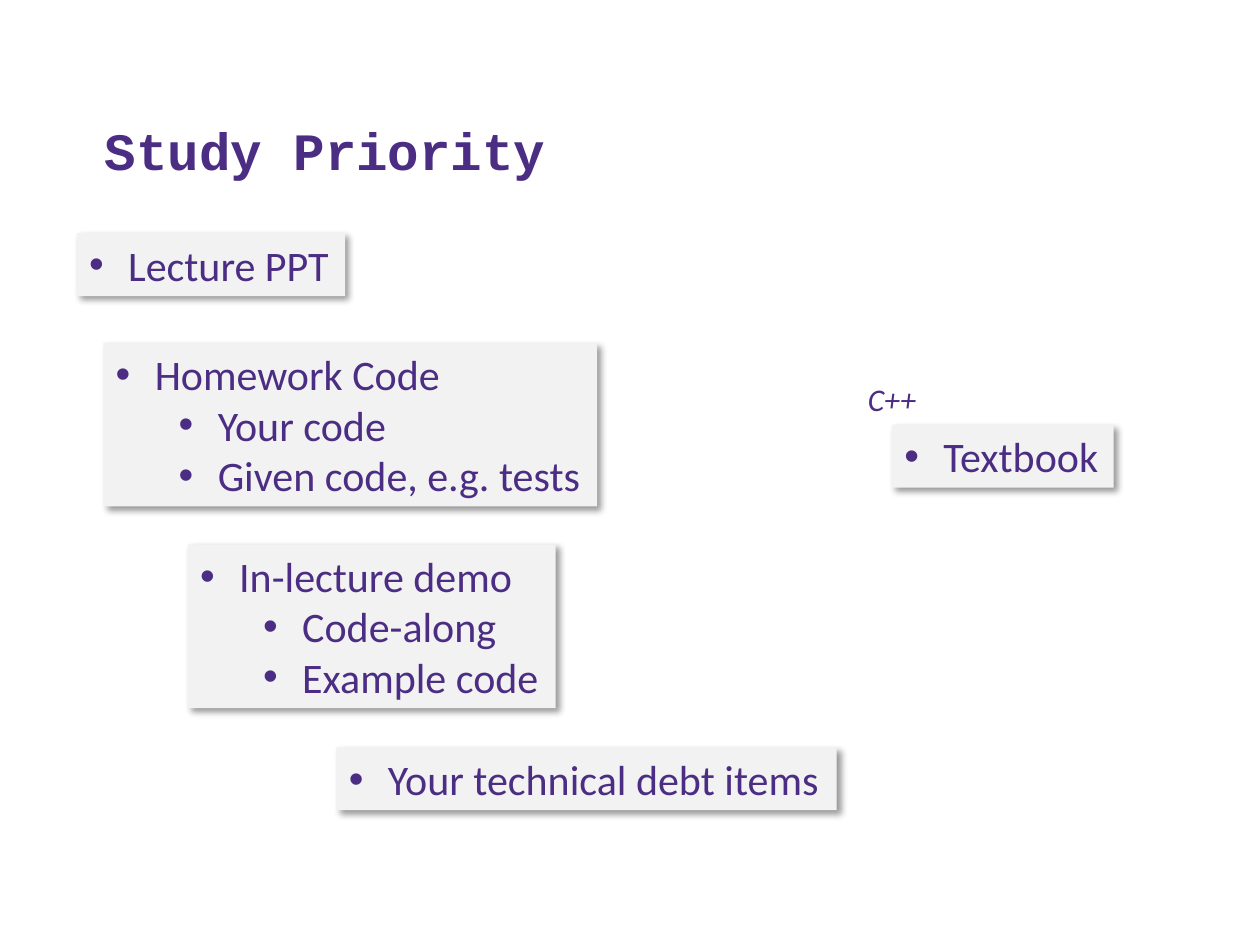
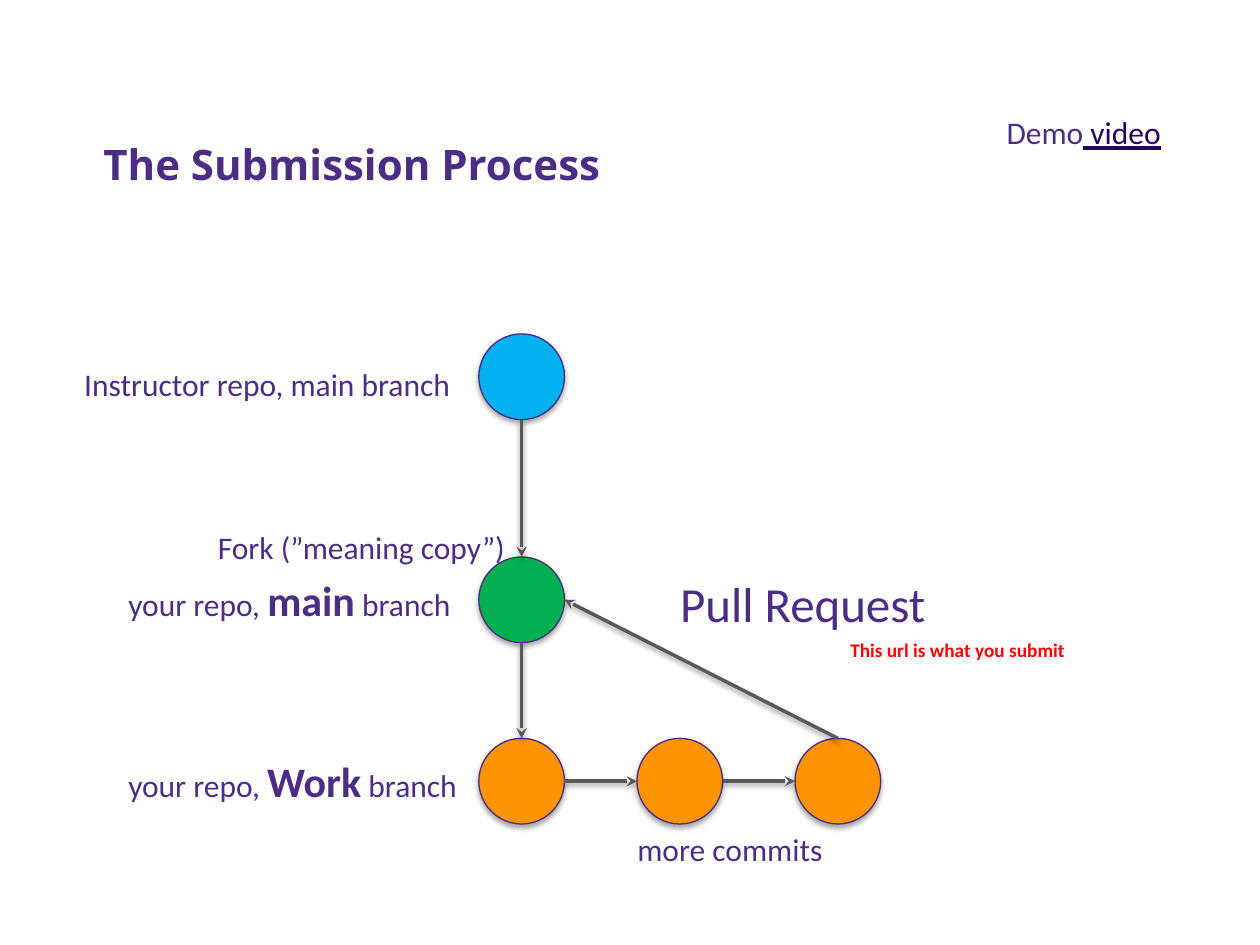
from dataclasses import dataclass
from typing import Any, NamedTuple

from lxml.etree import SubElement
from pptx import Presentation
from pptx.dml.color import RGBColor
from pptx.enum.shapes import MSO_CONNECTOR, MSO_SHAPE
from pptx.enum.text import MSO_ANCHOR, MSO_AUTO_SIZE, PP_ALIGN
from pptx.oxml.ns import qn
from pptx.slide import Slide
from pptx.util import Inches, Pt

PURPLE = RGBColor(0x4B, 0x2E, 0x83)
OUTLINE = RGBColor(0x49, 0x2B, 0x82)
LINK = RGBColor(0x26, 0x00, 0x5C)
RED = RGBColor(0xFF, 0x00, 0x00)
CARD = RGBColor(0xF2, 0xF2, 0xF2)
ARROW = RGBColor(0x59, 0x59, 0x59)
BLUE = RGBColor(0x00, 0xB0, 0xF0)
GREEN = RGBColor(0x00, 0xB0, 0x50)
ORANGE = RGBColor(0xFF, 0x93, 0x00)

BODY_FONT = "Calibri"
BASE_FORMAT = {"name": BODY_FONT, "size": Pt(18), "bold": False}
EMPHASIS = {"size": Pt(24), "bold": True}
CARD_FORMAT = {"size": Pt(24)}

CARD_LINE = 0.4
CARD_PADDING = 0.1
BULLET_INDENT = 0.31
LEVEL_STEP = 0.5

DIAMETER = 0.68
RADIUS = DIAMETER / 2
TRUNK_X = 4.14
INSTRUCTOR_Y = 2.99
MAIN_Y = 4.76
WORK_Y = 6.2
COMMIT_STEP = 2.51 / 2
COMMITS = 3


class Shadow(NamedTuple):
    opacity: int
    blur: float
    distance: float
    angle: int


CARD_SHADOW = Shadow(40, 4, 3, 45)
NODE_SHADOW = Shadow(35, 3.1, 1.8, 90)
ARROW_SHADOW = Shadow(38, 3.1, 1.6, 90)


class Span(NamedTuple):
    text: str
    format: dict[str, Any] = {}
    color: RGBColor = PURPLE


@dataclass(frozen=True)
class Card:
    left: float
    top: float
    width: float
    heading: str
    details: tuple[str, ...] = ()


@dataclass(frozen=True)
class Label:
    left: float
    top: float
    width: float
    height: float
    spans: tuple[Span, ...]


@dataclass(frozen=True)
class Node:
    x: float
    y: float
    fill: RGBColor


class Arrow(NamedTuple):
    start: tuple[float, float]
    end: tuple[float, float]


CARDS = (
    Card(0.82, 2.72, 3.92, "Homework Code", ("Your code", "Given code, e.g. tests")),
    Card(1.49, 4.32, 2.92, "In-lecture demo", ("Code-along", "Example code")),
    Card(2.67, 5.93, 3.97, "Your technical debt items"),
    Card(0.61, 1.85, 2.13, "Lecture PPT"),
    Card(7.08, 3.37, 1.76, "Textbook"),
)

LANGUAGE = Label(6.79, 2.97, 0.59, 0.4, (Span("C++", {"italic": True}),))

PROCESS_LABELS = (
    Label(0.57, 2.85, 3.14, 0.4, (Span("Instructor repo, main branch"),)),
    Label(1.63, 4.14, 2.51, 0.4, (Span("Fork (”meaning copy”)"),)),
    Label(0.92, 4.51, 2.79, 0.5,
          (Span("your repo, "), Span("main", EMPHASIS), Span(" branch"))),
    Label(0.92, 5.95, 2.84, 0.5,
          (Span("your repo, "), Span("Work", EMPHASIS), Span(" branch"))),
    Label(5.3, 4.5, 2.17, 0.57, (Span("Pull Request", {"size": Pt(28)}),)),
    Label(6.65, 5.02, 1.96, 0.29,
          (Span("This url is what you submit", {"size": Pt(11), "bold": True}, RED),)),
    Label(4.96, 6.54, 1.69, 0.4, (Span("more commits"),)),
    Label(7.89, 0.85, 1.44, 0.4,
          (Span("Demo"), Span(" video", {"underline": True}, LINK))),
)


def add_span(paragraph: Any, span: Span) -> None:
    run = paragraph.add_run()
    run.text = span.text
    for attribute, value in (BASE_FORMAT | span.format).items():
        setattr(run.font, attribute, value)
    run.font.color.rgb = span.color


def add_shadow(shape: Any, shadow: Shadow) -> None:
    effects = SubElement(shape.element.spPr, qn("a:effectLst"))
    outer = SubElement(effects, qn("a:outerShdw"), {
        "blurRad": str(Pt(shadow.blur)),
        "dist": str(Pt(shadow.distance)),
        "dir": str(shadow.angle * 60000),
        "rotWithShape": "0",
    })
    black = SubElement(outer, qn("a:srgbClr"), val="000000")
    SubElement(black, qn("a:alpha"), val=str(shadow.opacity * 1000))


def add_bullet(paragraph: Any, level: int) -> None:
    paragraph.level = level
    paragraph.alignment = PP_ALIGN.LEFT
    properties = paragraph._p.get_or_add_pPr()
    properties.set("marL", str(Inches(BULLET_INDENT + level * LEVEL_STEP)))
    properties.set("indent", str(-Inches(BULLET_INDENT)))
    SubElement(properties, qn("a:buFont"), typeface="Arial")
    SubElement(properties, qn("a:buChar"), char="•")


def fit_frame(frame: Any) -> None:
    frame.word_wrap = False
    frame.auto_size = MSO_AUTO_SIZE.SHAPE_TO_FIT_TEXT
    frame.vertical_anchor = MSO_ANCHOR.TOP


def add_title_slide(deck: Any, heading: Span, box: tuple[float, ...],
                    anchor: MSO_ANCHOR) -> Slide:
    slide = deck.slides.add_slide(deck.slide_layouts[5])
    title = slide.shapes.title
    title.left, title.top, title.width, title.height = map(Inches, box)
    title.text_frame.auto_size = MSO_AUTO_SIZE.NONE
    title.text_frame.vertical_anchor = anchor
    paragraph = title.text_frame.paragraphs[0]
    paragraph.alignment = PP_ALIGN.LEFT
    add_span(paragraph, heading)
    return slide


def draw_card(slide: Slide, card: Card) -> None:
    lines = (card.heading, *card.details)
    height = CARD_PADDING + CARD_LINE * len(lines)
    panel = slide.shapes.add_shape(
        MSO_SHAPE.RECTANGLE, *map(Inches, (card.left, card.top, card.width, height)))
    panel.fill.solid()
    panel.fill.fore_color.rgb = CARD
    panel.line.fill.background()
    add_shadow(panel, CARD_SHADOW)
    frame = panel.text_frame
    fit_frame(frame)
    for index, line in enumerate(lines):
        paragraph = frame.add_paragraph() if index else frame.paragraphs[0]
        add_bullet(paragraph, min(index, 1))
        add_span(paragraph, Span(line, CARD_FORMAT))


def draw_label(slide: Slide, label: Label) -> None:
    box = slide.shapes.add_textbox(
        *map(Inches, (label.left, label.top, label.width, label.height)))
    fit_frame(box.text_frame)
    for span in label.spans:
        add_span(box.text_frame.paragraphs[0], span)


def draw_node(slide: Slide, node: Node) -> None:
    circle = slide.shapes.add_shape(
        MSO_SHAPE.OVAL, Inches(node.x - RADIUS), Inches(node.y - RADIUS),
        Inches(DIAMETER), Inches(DIAMETER))
    circle.fill.solid()
    circle.fill.fore_color.rgb = node.fill
    circle.line.color.rgb = OUTLINE
    circle.line.width = Pt(0.75)
    add_shadow(circle, NODE_SHADOW)


def draw_arrow(slide: Slide, arrow: Arrow) -> None:
    connector = slide.shapes.add_connector(
        MSO_CONNECTOR.STRAIGHT, *map(Inches, (*arrow.start, *arrow.end)))
    connector.line.color.rgb = ARROW
    connector.line.width = Pt(2)
    SubElement(connector.line._get_or_add_ln(), qn("a:tailEnd"), type="stealth")
    add_shadow(connector, ARROW_SHADOW)


def down(upper: Node, lower: Node) -> Arrow:
    return Arrow((upper.x, upper.y + RADIUS), (lower.x, lower.y - RADIUS))


def across(first: Node, second: Node) -> Arrow:
    return Arrow((first.x + RADIUS, first.y), (second.x - RADIUS, second.y))


def build_priority(deck: Any) -> None:
    heading = Span("Study Priority",
                   {"name": "Courier New", "size": Pt(30), "bold": True})
    slide = add_title_slide(deck, heading, (0.73, 0.41, 8.95, 1.08), MSO_ANCHOR.BOTTOM)
    for card in CARDS:
        draw_card(slide, card)
    draw_label(slide, LANGUAGE)


def build_submission(deck: Any) -> None:
    heading = Span("The Submission Process", EMPHASIS | {"name": "Open Sans"})
    slide = add_title_slide(deck, heading, (0.72, 1.05, 4.94, 0.68), MSO_ANCHOR.TOP)
    instructor = Node(TRUNK_X, INSTRUCTOR_Y, BLUE)
    main_branch = Node(TRUNK_X, MAIN_Y, GREEN)
    commits = [Node(TRUNK_X + step * COMMIT_STEP, WORK_Y, ORANGE)
               for step in range(COMMITS)]
    last = commits[-1]
    pull_request = Arrow((last.x, last.y - RADIUS), (TRUNK_X + RADIUS, MAIN_Y))
    for node in (instructor, main_branch, *commits):
        draw_node(slide, node)
    for arrow in (down(instructor, main_branch), down(main_branch, commits[0]),
                  *map(across, commits, commits[1:]), pull_request):
        draw_arrow(slide, arrow)
    for label in PROCESS_LABELS:
        draw_label(slide, label)


def main() -> None:
    deck = Presentation()
    deck.slide_width = Inches(10)
    deck.slide_height = Inches(7.5)
    build_priority(deck)
    build_submission(deck)
    deck.save("out.pptx")


if __name__ == "__main__":
    main()
